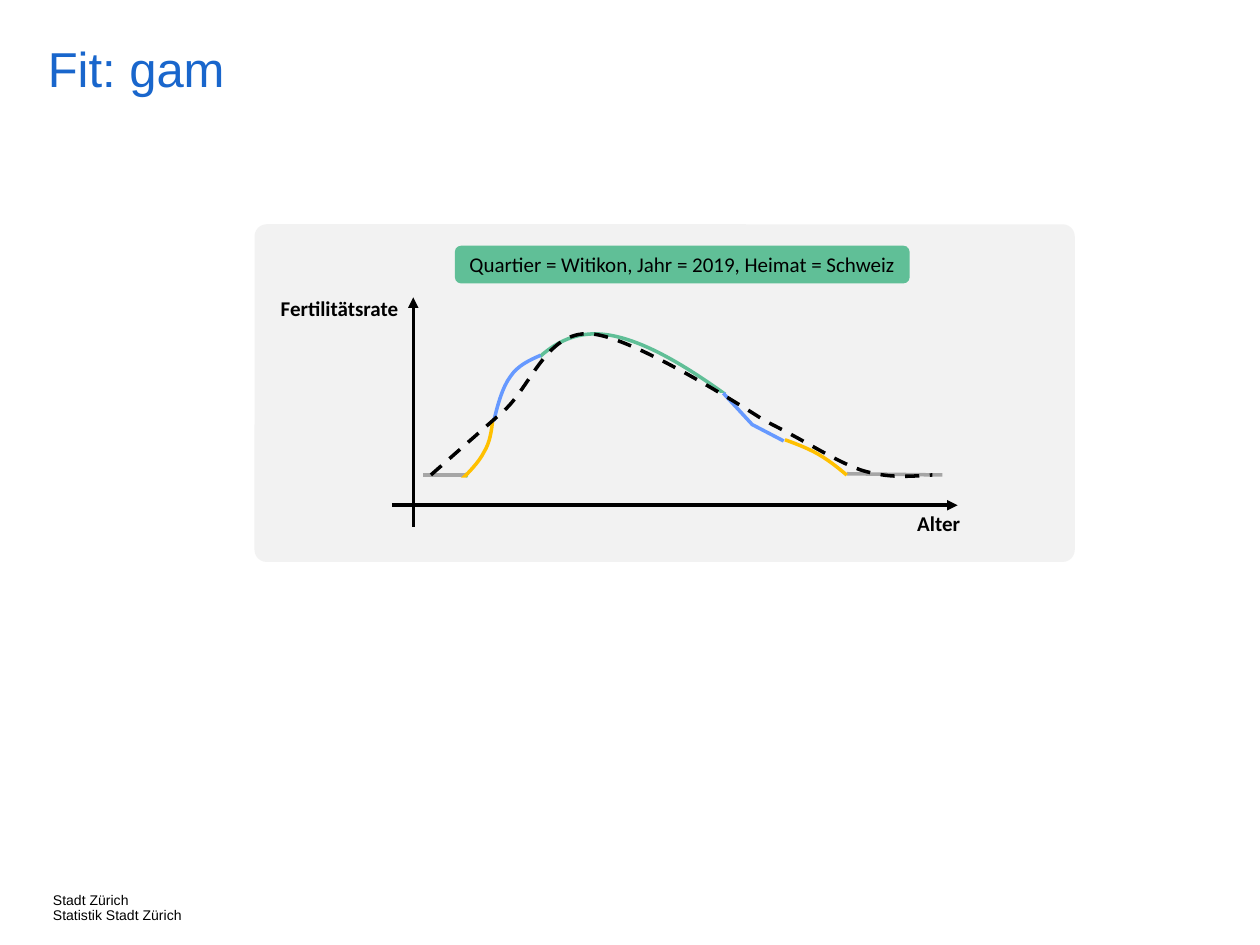
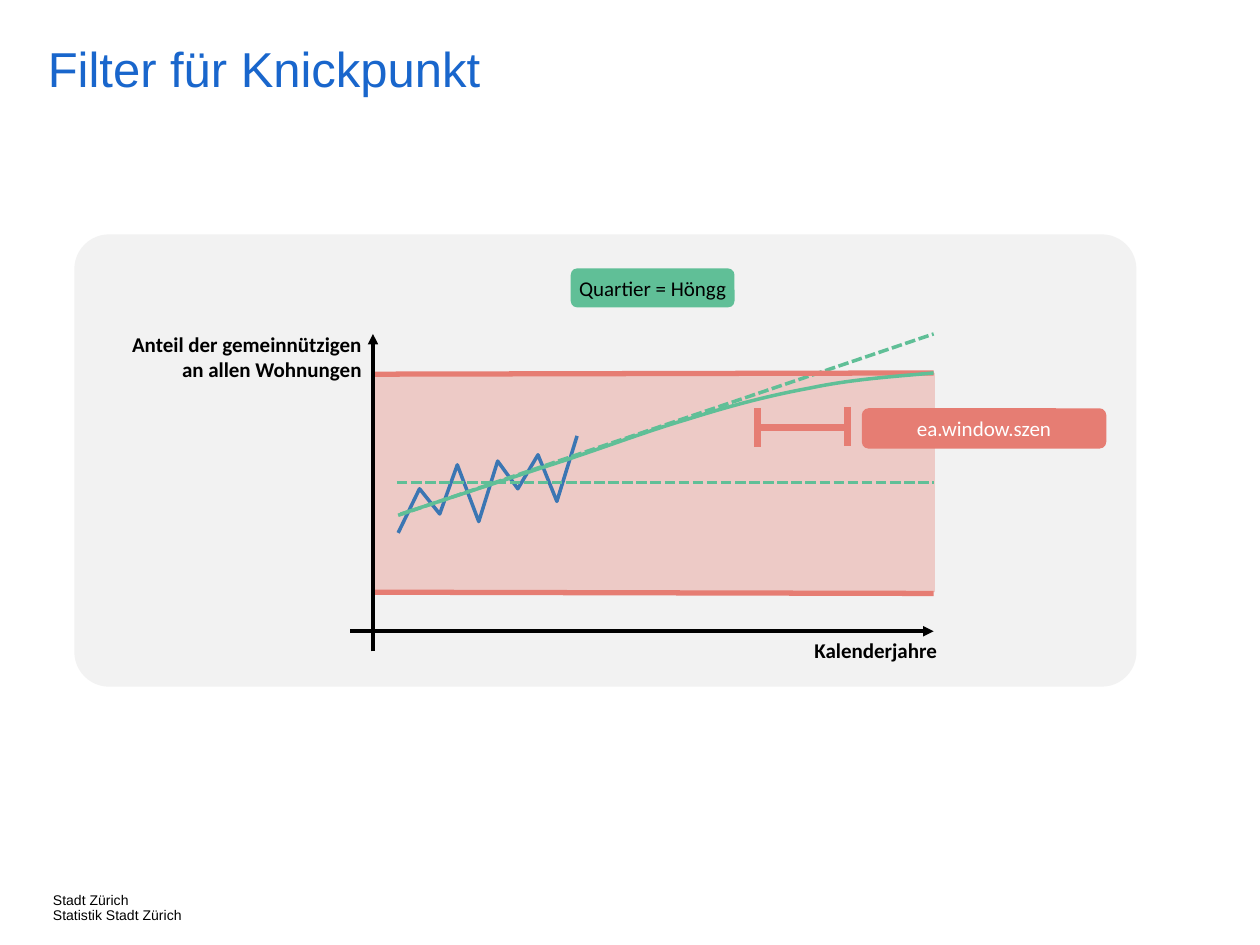
from dataclasses import dataclass
from typing import Any, Optional

import lxml.etree
import pptx
import pptx.dml.color
import pptx.enum.dml
import pptx.enum.shapes
import pptx.enum.text
import pptx.oxml.ns
import pptx.util
from pptx.util import Inches

COLORS = {
    "title": "1966CC",
    "black": "000000",
    "white": "FFFFFF",
    "panel": "F2F2F2",
    "green": "60BF97",
    "red": "E67D73",
    "blue": "6699FF",
    "dark_blue": "3B76B3",
    "yellow": "FFC000",
    "gray": "A6A6A6",
}
FOOTER = "Stadt Zürich\nStatistik Stadt Zürich"
LEFT = pptx.enum.text.PP_ALIGN.LEFT
CENTER = pptx.enum.text.PP_ALIGN.CENTER
RIGHT = pptx.enum.text.PP_ALIGN.RIGHT
DASH = pptx.enum.dml.MSO_LINE.DASH
SHORT_DASH = pptx.enum.dml.MSO_LINE.SQUARE_DOT
RECTANGLE = pptx.enum.shapes.MSO_SHAPE.RECTANGLE
ROUNDED = pptx.enum.shapes.MSO_SHAPE.ROUNDED_RECTANGLE
Box = tuple[float, float, float, float]
Point = tuple[float, float]


@dataclass
class TextStyle:
    size: float = 12
    font: str = "Calibri"
    color: str = "black"
    bold: bool = False
    align: Any = CENTER
    spacing: float = 1.0


@dataclass
class Line:
    start: Point
    end: Point
    color: str = "black"
    width: float = 2
    dash: Any = None
    arrow: bool = False


@dataclass
class Curve:
    """Outline of steps: (x, y) is a straight line, six numbers are a Bézier curve."""
    start: Point
    steps: list[tuple[float, ...]]
    color: str
    dash: Any = None


TITLE = TextStyle(28, "Arial", "title", align=LEFT, spacing=0.9)
FOOTER_STYLE = TextStyle(8, "Arial", align=LEFT, spacing=0.9)
AXIS_CENTER = TextStyle(bold=True)
AXIS_RIGHT = TextStyle(bold=True, align=RIGHT)


def rgb(name: str) -> pptx.dml.color.RGBColor:
    return pptx.dml.color.RGBColor.from_string(COLORS[name])


def write_text(frame: Any, text: str, style: TextStyle) -> None:
    frame.text = text
    for paragraph in frame.paragraphs:
        paragraph.alignment = style.align
        paragraph.line_spacing = style.spacing
        paragraph.font.size = pptx.util.Pt(style.size)
        paragraph.font.name = style.font
        paragraph.font.bold = style.bold
        paragraph.font.color.rgb = rgb(style.color)


def clear_margins(frame: Any) -> None:
    frame.margin_left = frame.margin_right = 0
    frame.margin_top = frame.margin_bottom = 0


def add_label(shapes: Any, box: Box, text: str, style: TextStyle,
              margins: bool = True, wrap: bool = True) -> None:
    frame = shapes.add_textbox(*map(Inches, box)).text_frame
    frame.word_wrap = wrap
    if not margins:
        clear_margins(frame)
    write_text(frame, text, style)


def add_block(shapes: Any, box: Box, color: str, kind: Any = RECTANGLE,
              radius: Optional[float] = None, opacity: Optional[int] = None) -> Any:
    shape = shapes.add_shape(kind, *map(Inches, box))
    shape.shadow.inherit = False
    shape.fill.solid()
    shape.fill.fore_color.rgb = rgb(color)
    shape.line.fill.background()
    if radius is not None:
        shape.adjustments[0] = radius
    if opacity is not None:
        fill_color = shape._element.spPr.find(".//" + pptx.oxml.ns.qn("a:srgbClr"))
        alpha = lxml.etree.SubElement(fill_color, pptx.oxml.ns.qn("a:alpha"))
        alpha.set("val", str(opacity * 1000))
    return shape


def add_pill(shapes: Any, box: Box, text: str, fill: str, color: str = "black") -> None:
    frame = add_block(shapes, box, fill, ROUNDED).text_frame
    clear_margins(frame)
    frame.word_wrap = True
    frame.vertical_anchor = pptx.enum.text.MSO_ANCHOR.MIDDLE
    write_text(frame, text, TextStyle(color=color))


def style_line(line: Any, color: str, width: float, dash: Any) -> None:
    line.color.rgb = rgb(color)
    line.width = pptx.util.Pt(width)
    if dash is not None:
        line.dash_style = dash


def add_line(shapes: Any, line: Line) -> None:
    connector = shapes.add_connector(
        pptx.enum.shapes.MSO_CONNECTOR.STRAIGHT, *map(Inches, line.start + line.end))
    style_line(connector.line, line.color, line.width, line.dash)
    properties = connector._element.spPr
    if line.arrow:
        outline = properties.find(pptx.oxml.ns.qn("a:ln"))
        lxml.etree.SubElement(outline, pptx.oxml.ns.qn("a:tailEnd")).set("type", "triangle")
    lxml.etree.SubElement(properties, pptx.oxml.ns.qn("a:effectLst"))


def add_curve(shapes: Any, curve: Curve) -> None:
    builder = shapes.build_freeform(*map(Inches, curve.start))
    for step in curve.steps:
        points = [(Inches(x), Inches(y)) for x, y in zip(step[::2], step[1::2])]
        builder.add_line_segments(points, close=False)
    shape = builder.convert_to_shape()
    shape.shadow.inherit = False
    shape.fill.background()
    style_line(shape.line, curve.color, 2, curve.dash)
    # Join the three points of each curved step into one Bézier segment
    segments = iter(list(shape._element.iter(pptx.oxml.ns.qn("a:lnTo"))))
    for step in curve.steps:
        first = next(segments)
        if len(step) == 6:
            first.tag = pptx.oxml.ns.qn("a:cubicBezTo")
            for _ in range(2):
                segment = next(segments)
                first.append(segment[0])
                segment.getparent().remove(segment)


def add_slide(presentation: Any, title: str) -> Any:
    slide = presentation.slides.add_slide(presentation.slide_layouts[6])
    add_label(slide.shapes, (0.42, 7.09, 1.31, 0.2), FOOTER, FOOTER_STYLE,
              margins=False, wrap=False)
    add_label(slide.shapes, (0.38, 0.36, 8.4, 0.64), title, TITLE, margins=False)
    return slide


def build_fit_slide(presentation: Any) -> None:
    shapes = add_slide(presentation, "Fit: gam").shapes
    add_block(shapes, (2.02, 1.78, 6.51, 2.68), "panel", ROUNDED, 0.036)

    # Axes
    add_line(shapes, Line((3.11, 4.01), (7.6, 4.01), arrow=True))
    add_label(shapes, (6.83, 4, 1.24, 0.3), "Alter", AXIS_CENTER)
    add_line(shapes, Line((3.28, 4.18), (3.28, 2.36), arrow=True))
    add_label(shapes, (2.02, 2.3, 1.24, 0.3), "Fertilitätsrate", AXIS_RIGHT)

    # Green middle part and flat gray ends
    add_curve(shapes, Curve((3.68, 3.82), [(3.95, 3.24, 4.23, 2.65, 4.72, 2.65),
                                           (5.21, 2.65, 5.91, 3.23, 6.62, 3.81)], "green"))
    add_line(shapes, Line((6.72, 3.76), (7.48, 3.77), "gray"))
    add_line(shapes, Line((3.36, 3.77), (3.7, 3.77), "gray"))

    # Rising side, on a cover that trims the green curve
    add_block(shapes, (3.7, 2.83, 0.59, 0.95), "panel")
    add_curve(shapes, Curve((4.29, 2.82), [(4.2, 2.86, 4.11, 2.9, 4.05, 2.99),
                                           (3.99, 3.07, 3.95, 3.21, 3.92, 3.34)], "blue"))
    add_curve(shapes, Curve((3.91, 3.34), [(3.9, 3.42, 3.89, 3.51, 3.84, 3.59),
                                           (3.8, 3.67, 3.72, 3.75, 3.64, 3.83)], "yellow"))

    # Falling side, on a second cover
    add_block(shapes, (5.47, 3.12, 1.25, 0.79), "panel")
    add_curve(shapes, Curve((5.74, 3.12), [(5.97, 3.37), (6.22, 3.5)], "blue"))
    add_curve(shapes, Curve((6.23, 3.49), [(6.34, 3.53, 6.44, 3.57, 6.52, 3.62),
                                           (6.6, 3.67, 6.66, 3.72, 6.72, 3.77)], "yellow"))
    add_block(shapes, (3.6, 3.79, 0.35, 0.14), "panel")

    # Fitted curve
    add_curve(shapes, Curve((3.42, 3.77), [(4, 3.26),
                                           (4.21, 3.07, 4.34, 2.63, 4.68, 2.65),
                                           (5.03, 2.66, 6.07, 3.34, 6.07, 3.34),
                                           (6.43, 3.52, 6.61, 3.65, 6.83, 3.73),
                                           (7.05, 3.8, 7.23, 3.78, 7.4, 3.77)], "black", DASH))
    add_pill(shapes, (3.61, 1.95, 3.61, 0.3),
             "Quartier = Witikon, Jahr = 2019, Heimat = Schweiz", "green")


def build_filter_slide(presentation: Any) -> None:
    slide = add_slide(presentation, "Filter für Knickpunkt")
    shapes = slide.shapes.add_group_shape().shapes
    add_block(shapes, (0.59, 1.86, 8.43, 3.59), "panel", ROUNDED, 0.077)
    add_block(shapes, (2.96, 2.96, 4.46, 1.74), "red", opacity=34)

    # Horizontal axis
    add_line(shapes, Line((2.78, 5.01), (7.41, 5.01), arrow=True))
    add_label(shapes, (6.33, 5.01, 1.24, 0.3), "Kalenderjahre", AXIS_CENTER)

    # Observed values
    add_curve(shapes, Curve((3.16, 4.23), [
        (3.33, 3.88), (3.49, 4.08), (3.63, 3.69), (3.8, 4.14), (3.95, 3.66),
        (4.11, 3.88), (4.27, 3.61), (4.42, 3.98), (4.58, 3.46)], "dark_blue"))

    # Mean, trend, limits, vertical axis and window bracket
    for line in (
        Line((3.15, 3.83), (7.41, 3.83), "green", dash=SHORT_DASH),
        Line((3.16, 4.09), (7.41, 2.65), "green", dash=SHORT_DASH),
        Line((2.96, 4.7), (7.41, 4.71), "red", 3),
        Line((2.96, 2.97), (7.41, 2.96), "red", 3),
        Line((2.96, 5.17), (2.96, 2.65), arrow=True),
        Line((6.02, 3.39), (6.73, 3.39), "red", 4),
        Line((6.01, 3.24), (6.01, 3.55), "red", 4),
        Line((6.73, 3.23), (6.73, 3.54), "red", 4),
    ):
        add_line(shapes, line)

    # Filtered trend
    add_curve(shapes, Curve((3.18, 4.08), [(4.34, 3.7),
                                           (4.72, 3.58, 5.11, 3.43, 5.45, 3.33),
                                           (5.8, 3.22, 6.1, 3.14, 6.43, 3.08),
                                           (6.76, 3.01, 7.08, 2.99, 7.41, 2.96)], "green"))

    # Labels
    add_pill(shapes, (4.53, 2.13, 1.3, 0.31), "Quartier = Höngg", "green")
    add_pill(shapes, (6.84, 3.24, 1.94, 0.32), "ea.window.szen", "red", "white")
    add_label(shapes, (0.9, 2.58, 2.07, 0.5),
              "Anteil der gemeinnützigen\van allen Wohnungen", AXIS_RIGHT)


def main() -> None:
    presentation = pptx.Presentation()
    presentation.slide_width = Inches(10)
    presentation.slide_height = Inches(7.5)
    build_fit_slide(presentation)
    build_filter_slide(presentation)
    presentation.save("out.pptx")


main()
